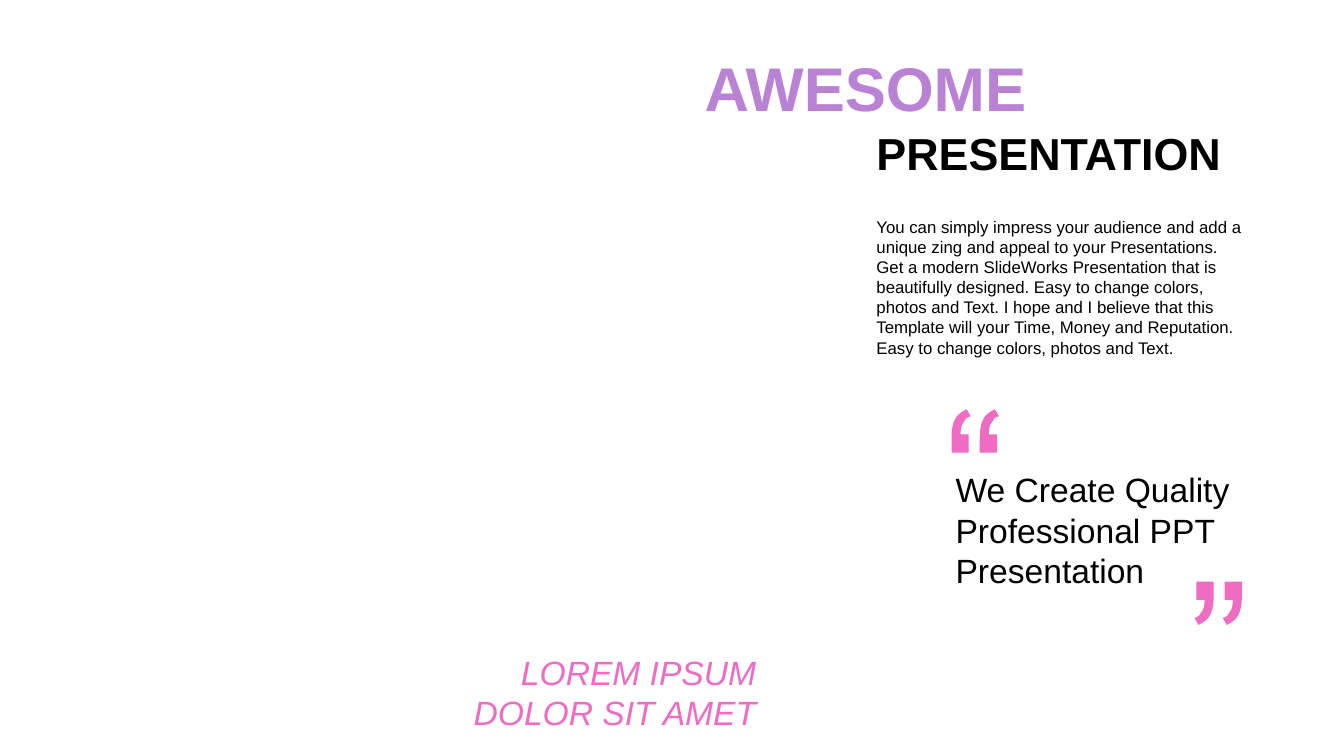
from lxml import etree
from pptx import Presentation
from pptx.dml.color import RGBColor
from pptx.enum.text import MSO_ANCHOR, MSO_AUTO_SIZE, PP_ALIGN
from pptx.oxml.ns import qn
from pptx.util import Inches, Pt

COLUMNS, ROWS = 40, 22.5
CELL = Inches(40 / 3) // COLUMNS
FONT = "Arial"
COLORS = {"black": "000000", "purple": "B982D5", "pink": "EE6CC1"}
MARK_W, MARK_H, MARK_STEP = 1.41, 1.29, 0.84
MARK_START = (0.45, 0)
MARK_SEGMENTS = [
    [(0.57, 0.21)],
    [(0.45, 0.24), (0.39, 0.3), (0.36, 0.39)],
    [(0.3, 0.45), (0.27, 0.57), (0.27, 0.75)],
    [(0.51, 0.75)],
    [(0.51, 1.29)],
    [(0, 1.29)],
    [(0, 0.87)],
    [(0, 0.63), (0.03, 0.45), (0.09, 0.33)],
    [(0.15, 0.18), (0.27, 0.09), MARK_START],
]
BODY = (
    "You can simply impress your audience and add a unique zing and appeal to your "
    "Presentations. Get a modern SlideWorks Presentation that is beautifully designed. "
    "Easy to change colors, photos and Text. I hope and I believe that this Template "
    "will your Time, Money and Reputation. Easy to change colors, photos and Text."
)


def cells(*lengths):
    """Convert grid lengths to EMU."""
    return [round(n * CELL) for n in lengths]


def write(sp, box, lines, size, color, align=PP_ALIGN.LEFT, anchor=MSO_ANCHOR.MIDDLE,
          bold=False, italic=False):
    """Place a text shape in its box and fill it with uniform paragraphs."""
    sp.left, sp.top, sp.width, sp.height = cells(*box)
    tf = sp.text_frame
    tf.text = "\n".join(lines)
    tf.word_wrap = True
    tf.auto_size = MSO_AUTO_SIZE.SHAPE_TO_FIT_TEXT
    tf.vertical_anchor = anchor
    for p in tf.paragraphs:
        p.alignment = align
        p.font.name, p.font.size = FONT, Pt(size)
        p.font.bold, p.font.italic = bold, italic
        p.font.color.rgb = RGBColor.from_string(COLORS[color])
    return tf


def add_text(s, box, *args, **style):
    """Add a styled text box."""
    return write(s.shapes.add_textbox(0, 0, 0, 0), box, *args, **style)


def join_curves(sp, segments):
    """Turn each run of three line steps that stands for a curve into one cubic curve."""
    steps = iter(list(sp.element.iter(qn("a:lnTo"))))
    for segment in segments:
        group = [next(steps) for _ in segment]
        if len(group) == 3:
            curve = etree.Element(qn("a:cubicBezTo"))
            group[0].addprevious(curve)
            for step in group:
                curve.append(step[0])
                step.getparent().remove(step)


def add_quote_mark(s, x, y, rotation=0):
    """Draw a double quotation mark with its top left corner at x, y."""
    points = [MARK_START] + [pt for segment in MARK_SEGMENTS for pt in segment]
    right, left = ([((px + dx) * 100, py * 100) for px, py in points]
                   for dx in (MARK_STEP, 0))
    builder = s.shapes.build_freeform(*right[0], scale=CELL / 100)
    builder.add_line_segments(right[1:], close=True)
    builder.move_to(*left[0])
    builder.add_line_segments(left[1:], close=True)
    sp = builder.convert_to_shape(*cells(x, y))
    join_curves(sp, MARK_SEGMENTS * 2)
    sp.rotation = rotation
    sp.shadow.inherit = False
    sp.fill.solid()
    sp.fill.fore_color.rgb = RGBColor.from_string(COLORS["pink"])
    sp.line.fill.background()


def add_heading(s, x, y, w, h):
    """Set the two staggered heading lines."""
    line_w, top_h, bottom_h = 11.7, 2.52, 1.92
    write(s.shapes.title, (x, y, line_w, top_h), ["AWESOME"], 44, "purple",
          align=PP_ALIGN.JUSTIFY, bold=True)
    add_text(s, (x + w - line_w, y + h - bottom_h, line_w, bottom_h), ["PRESENTATION"],
             32, "black", align=PP_ALIGN.JUSTIFY, bold=True)


def add_quote(s, x, y, w, h):
    """Set the quotation between its opening and closing marks."""
    add_quote_mark(s, x, y)
    tf = add_text(s, (x, y + 1.77, 9.6, 3.63),
                  ["We Create Quality", "Professional PPT Presentation"], 24, "black")
    tf.margin_left = tf.margin_right = Inches(0.04)
    tf.margin_top = tf.margin_bottom = 0
    add_quote_mark(s, x + w - MARK_W, y + h - MARK_H, rotation=180)


def main():
    """Build and save the slide."""
    prs = Presentation()
    prs.slide_width, prs.slide_height = cells(COLUMNS, ROWS)
    s = prs.slides.add_slide(prs.slide_layouts[5])
    add_heading(s, 20.67, 1.32, 16.82, 4.17)
    add_text(s, (25.79, 6.29, 11.7, 4.53), [BODY], 12, "black", anchor=MSO_ANCHOR.TOP)
    add_quote(s, 28.32, 12.18, 8.64, 6.42)
    add_text(s, (13.05, 19.23, 9.75, 2.73), ["LOREM IPSUM", "DOLOR SIT AMET"], 24, "pink",
             align=PP_ALIGN.RIGHT, italic=True)
    prs.save("out.pptx")


if __name__ == "__main__":
    main()
